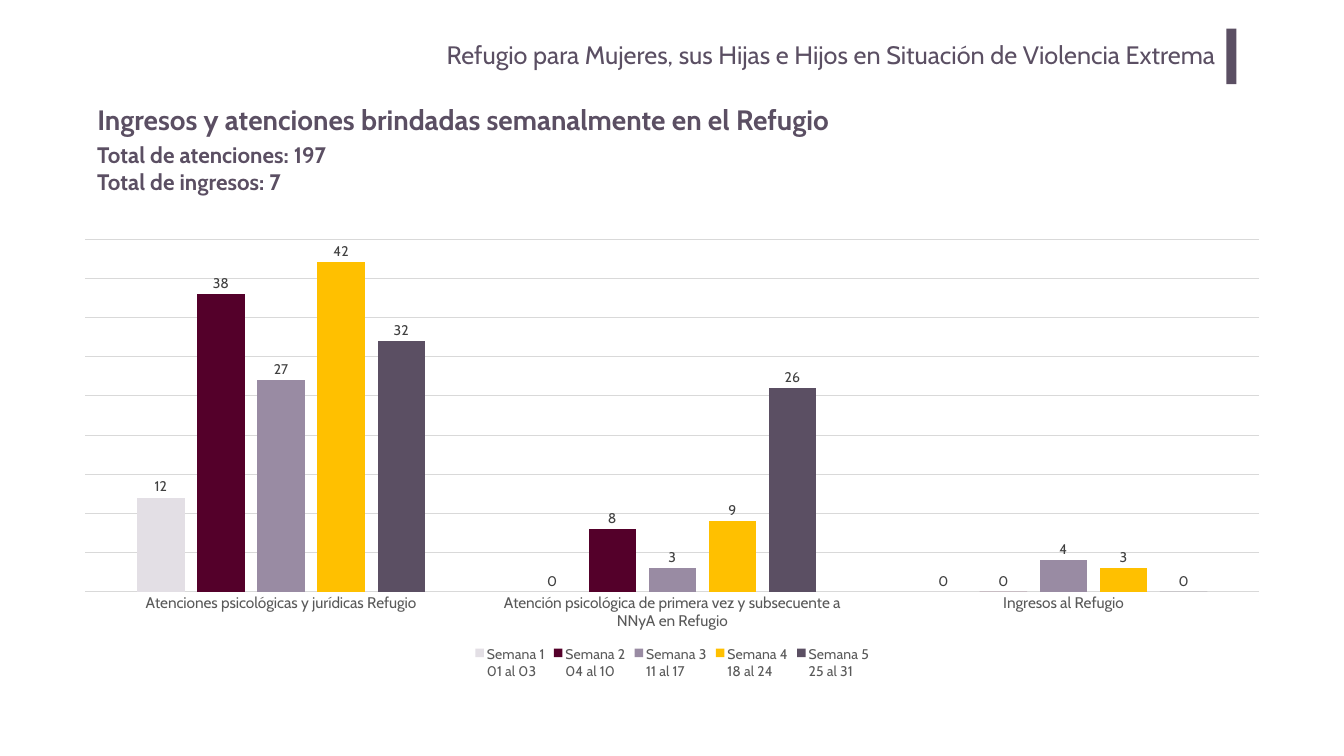
"""Build the slide of weekly admissions and services at the shelter."""
from lxml import etree
from pptx import Presentation
from pptx.chart.data import CategoryChartData
from pptx.dml.color import RGBColor
from pptx.enum.chart import XL_CHART_TYPE, XL_LABEL_POSITION, XL_LEGEND_POSITION, XL_TICK_LABEL_POSITION, XL_TICK_MARK
from pptx.enum.shapes import MSO_SHAPE
from pptx.enum.text import MSO_ANCHOR, MSO_AUTO_SIZE, PP_ALIGN
from pptx.oxml.ns import qn
from pptx.util import Inches, Pt

COLUMNS = XL_CHART_TYPE.COLUMN_CLUSTERED
OUTSIDE = XL_LABEL_POSITION.OUTSIDE_END
BOTTOM = XL_LEGEND_POSITION.BOTTOM
NO_TICK = XL_TICK_MARK.NONE
NO_LABELS = XL_TICK_LABEL_POSITION.NONE
RECT = MSO_SHAPE.RECTANGLE
TOP, MIDDLE = MSO_ANCHOR.TOP, MSO_ANCHOR.MIDDLE
NO_FIT, GROW = MSO_AUTO_SIZE.NONE, MSO_AUTO_SIZE.SHAPE_TO_FIT_TEXT
RIGHT, JUSTIFY = PP_ALIGN.RIGHT, PP_ALIGN.JUSTIFY

FONT = "Cabin"
COLORS = {"ink": "5B4F63", "grid": "D9D9D9", "axis": "595959", "label": "404040"}

prs = Presentation()
prs.slide_width, prs.slide_height = Inches(26.67), Inches(15)
COL, ROW = prs.slide_width / 80, prs.slide_height / 60


def cells(left, top, width, height):
    return int(left * COL), int(top * ROW), int(width * COL), int(height * ROW)


def style(font, size, color, bold=False):
    font.name, font.size, font.bold = FONT, Pt(size), bold
    font.color.rgb = RGBColor.from_string(COLORS[color])


s = prs.slides.add_slide(prs.slide_layouts[1])
title, header = s.shapes.title, s.placeholders[1]

bar = s.shapes.add_shape(RECT, *cells(73, 2.28, 0.6, 4.4))
bar.shadow.inherit = False
bar.fill.solid()
bar.fill.fore_color.rgb = RGBColor.from_string(COLORS["ink"])
bar.line.fill.background()

header.left, header.top, header.width, header.height = cells(12.03, 2.68, 60.9, 4.08)
tf = header.text_frame
tf.text = "Refugio para Mujeres, sus Hijas e Hijos en Situación de Violencia Extrema"
tf.auto_size, tf.vertical_anchor = NO_FIT, TOP
tf.margin_left = tf.margin_right = Inches(0.2)
tf.margin_top = tf.margin_bottom = Inches(0.1)
p = tf.paragraphs[0]
pPr = p._p.get_or_add_pPr()
pPr.set("marL", "0")
pPr.set("indent", "0")
etree.SubElement(pPr, qn("a:buNone"))
p.alignment, p.space_before = RIGHT, Pt(0)
style(p.runs[0].font, 36, "ink")

title.left, title.top, title.width, title.height = cells(5.49, 6.76, 65.54, 5.8)
tf = title.text_frame
tf.text = "Ingresos y atenciones brindadas semanalmente en el Refugio"
tf.auto_size, tf.vertical_anchor = NO_FIT, MIDDLE
p = tf.paragraphs[0]
p.alignment, p.line_spacing = JUSTIFY, 0.9
style(p.runs[0].font, 40, "ink", True)

totals = s.shapes.add_textbox(*cells(5.49, 11, 16.92, 4.72))
tf = totals.text_frame
tf.text = "Total de atenciones: 197\nTotal de ingresos: 7"
tf.word_wrap, tf.auto_size = True, GROW
for p in tf.paragraphs:
    style(p.runs[0].font, 32, "ink", True)

weeks = [
    ("Semana 1\n01 al 03", (12, 0, 0), "E3DFE5"),
    ("Semana 2\n04 al 10", (38, 8, 0), "54002A"),
    ("Semana 3\n11 al 17", (27, 3, 4), "998BA3"),
    ("Semana 4\n18 al 24", (42, 9, 3), "FFC000"),
    ("Semana 5\n25 al 31", (32, 26, 0), COLORS["ink"]),
]
data = CategoryChartData()
data.categories = [
    "Atenciones psicológicas y jurídicas Refugio",
    "Atención psicológica de primera vez y subsecuente a NNyA en Refugio",
    "Ingresos al Refugio",
]
for name, values, _ in weeks:
    data.add_series(name, values)
chart = s.shapes.add_chart(COLUMNS, *cells(3.63, 18.24, 72.77, 36), data).chart
chart.has_title = False
style(chart.font, 20, "axis")

plot = chart.plots[0]
plot.gap_width, plot.overlap, plot.vary_by_categories = 219, -27, False
for series, (_, _, color) in zip(plot.series, weeks):
    series.format.fill.solid()
    series.format.fill.fore_color.rgb = RGBColor.from_string(color)
    series.invert_if_negative = False
    labels = series.data_labels
    labels.show_value, labels.position = True, OUTSIDE
    style(labels.font, 20, "label")

axis = chart.category_axis
axis.major_tick_mark = axis.minor_tick_mark = NO_TICK
style(axis.tick_labels.font, 22, "axis")

values = chart.value_axis
values.visible, values.tick_label_position = False, NO_LABELS
values.minimum_scale, values.maximum_scale, values.major_unit = 0, 45, 5
values.has_major_gridlines = True
for line in (axis.format.line, values.major_gridlines.format.line):
    line.width = Pt(0.75)
    line.color.rgb = RGBColor.from_string(COLORS["grid"])

chart.has_legend = True
chart.legend.position, chart.legend.include_in_layout = BOTTOM, False
style(chart.legend.font, 20, "axis")

prs.save("out.pptx")
